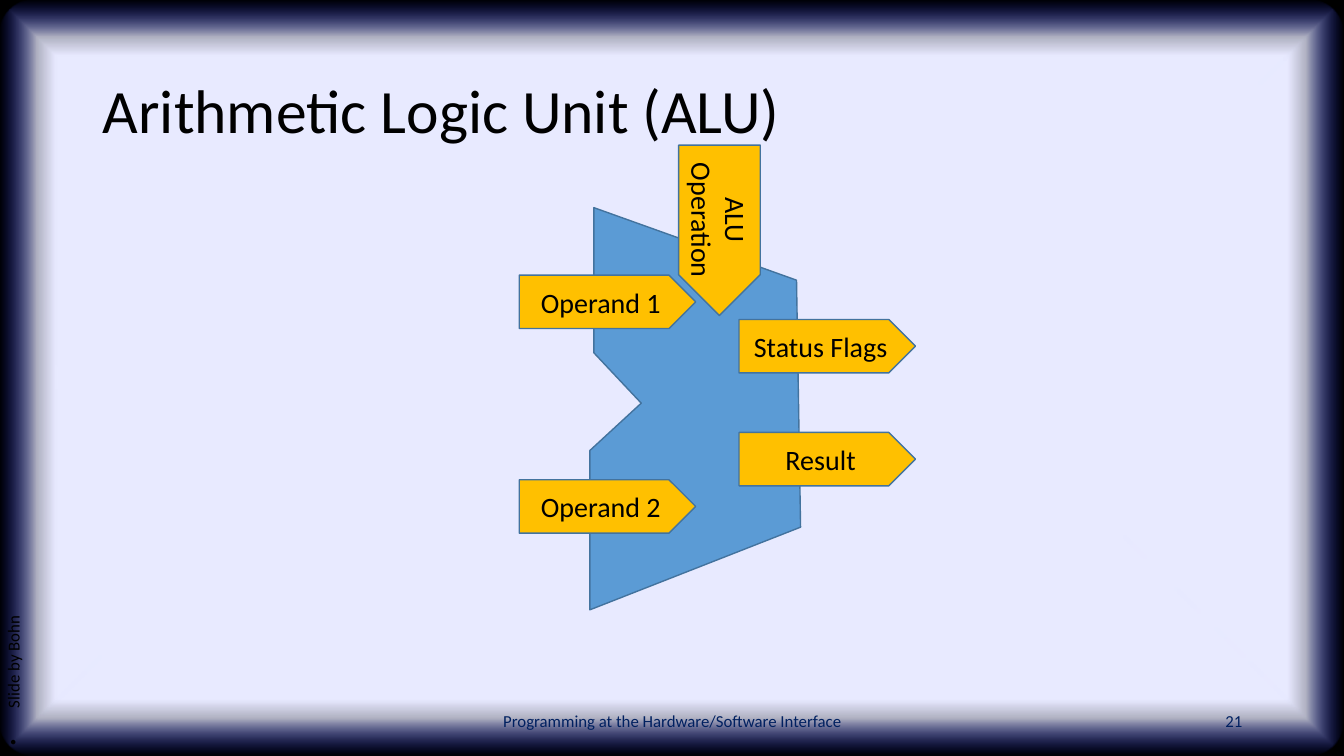
from lxml import etree
from pptx import Presentation
from pptx.dml.color import RGBColor
from pptx.enum.shapes import MSO_SHAPE
from pptx.enum.text import MSO_ANCHOR, MSO_AUTO_SIZE, PP_ALIGN
from pptx.oxml import parse_xml
from pptx.util import Inches, Pt

LEFT, CENTER, RIGHT = PP_ALIGN.LEFT, PP_ALIGN.CENTER, PP_ALIGN.RIGHT
TOP, MIDDLE = MSO_ANCHOR.TOP, MSO_ANCHOR.MIDDLE
RECT, ROUND, PENTAGON = MSO_SHAPE.RECTANGLE, MSO_SHAPE.ROUNDED_RECTANGLE, MSO_SHAPE.PENTAGON
NS = "http://schemas.openxmlformats.org/drawingml/2006/main"
BLACK, NAVY, BLUE, EDGE, AMBER = "000000", "002060", "5B9BD5", "43739E", "FFC000"


def paint(shape, fill, line=None):
    shape.shadow.inherit = False
    shape.fill.solid()
    shape.fill.fore_color.rgb = RGBColor.from_string(fill)
    if line:
        shape.line.color.rgb = RGBColor.from_string(line)
        shape.line.width = Pt(1)
    else:
        shape.line.fill.background()


def write(shape, text, size, color=BLACK, align=LEFT, anchor=MIDDLE, spacing=1.0):
    tf = shape.text_frame
    tf.text = text
    for name, value in {"word_wrap": True, "auto_size": MSO_AUTO_SIZE.NONE,
                        "vertical_anchor": anchor}.items():
        setattr(tf, name, value)
    p = tf.paragraphs[0]
    p.alignment, p.line_spacing = align, spacing
    font = p.runs[0].font
    font.name, font.size = "Calibri", Pt(size)
    font.color.rgb = RGBColor.from_string(color)


prs = Presentation()
prs.slide_width, prs.slide_height = Inches(13.33), Inches(7.5)
W, H = prs.slide_width, prs.slide_height
s = prs.slides.add_slide(prs.slide_layouts[1])
title, credit = s.placeholders

# Dark frame with a glowing pale panel, behind everything
frame = s.shapes.add_shape(RECT, 0, 0, W, H)
paint(frame, BLACK)
panel = s.shapes.add_shape(ROUND, 0, 0, W, H)
panel.adjustments[0] = 0.048
paint(panel, "E8EAFF")
stops = "".join(
    f'<a:gs pos="{pos}000"><a:srgbClr val="{color}"><a:alpha val="{alpha}000"/></a:srgbClr></a:gs>'
    for pos, color, alpha in [(85, "E8EAFF", 100), (90, "E8EAFF", 75), (100, "162AFF", 0)])
solid = panel.fill._xPr.find(f"{{{NS}}}solidFill")
solid.getparent().replace(solid, parse_xml(
    f'<a:gradFill xmlns:a="{NS}" rotWithShape="1"><a:gsLst>{stops}</a:gsLst><a:path path="shape">'
    '<a:fillToRect l="50000" t="50000" r="50000" b="50000"/></a:path></a:gradFill>'))
for i, sp in enumerate((frame, panel)):
    s.shapes._spTree.insert(2 + i, sp._element)

# Title and sideways credit
for sp, box in [(title, (0.92, 0.4, 11.5, 1.45)), (credit, (-2.44, 4.66, 5.28, 0.4))]:
    sp.left, sp.top, sp.width, sp.height = map(Inches, box)
write(title, "Arithmetic Logic Unit (ALU)", 44, spacing=0.9)
credit.rotation = 270
pPr = credit.text_frame.paragraphs[0]._p.get_or_add_pPr()
pPr.set("marL", "0")
pPr.set("indent", "0")
etree.SubElement(pPr, f"{{{NS}}}buNone")
write(credit, "Slide by Bohn", 12, anchor=TOP, spacing=0.9)
credit.text_frame.paragraphs[0].space_before = Pt(0)

# Footer and slide number
for text, left, width, align in [
        ("Programming at the Hardware/Software Interface", 4.42, 4.5, CENTER),
        ("21", 9.42, 3, RIGHT)]:
    tb = s.shapes.add_textbox(Inches(left), Inches(6.95), Inches(width), Inches(0.4))
    write(tb, text, 12, NAVY, align)

# ALU body
outline = [(6.36, 4), (5.89, 3.5), (5.89, 2.06), (7.9, 2.78), (7.94, 5.23), (5.85, 6.05), (5.85, 4.47)]
points = [(Inches(x), Inches(y)) for x, y in outline]
builder = s.shapes.build_freeform(*points[0])
builder.add_line_segments(points[1:], close=True)
paint(builder.convert_to_shape(), BLUE, EDGE)

# Inputs, operation and outputs
IN_X, OUT_X, TAG = 5.15, 7.33, (1.75, 0.53)
for text, left, top, (width, height), turn in [
        ("Operand 1", IN_X, 2.73, TAG, 0),
        ("Operand 2", IN_X, 4.76, TAG, 0),
        ("ALU Operation", 6.29, 1.88, (1.69, 0.81), 90),
        ("Status Flags", OUT_X, 3.17, TAG, 0),
        ("Result", OUT_X, 4.29, TAG, 0)]:
    tag = s.shapes.add_shape(PENTAGON, *map(Inches, (left, top, width, height)))
    tag.rotation = turn
    paint(tag, AMBER, EDGE)
    write(tag, text, 20, align=CENTER)

prs.save("out.pptx")
